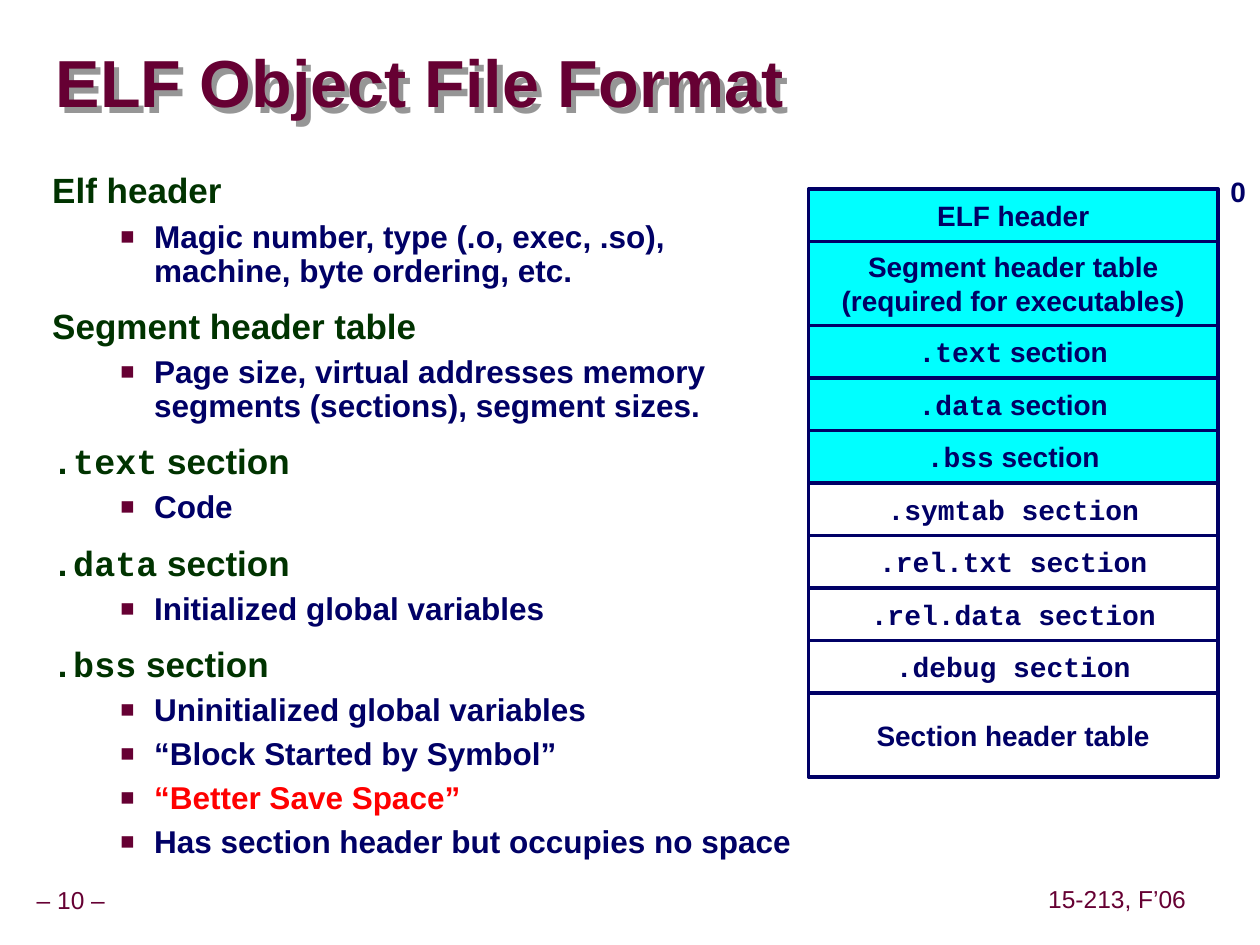
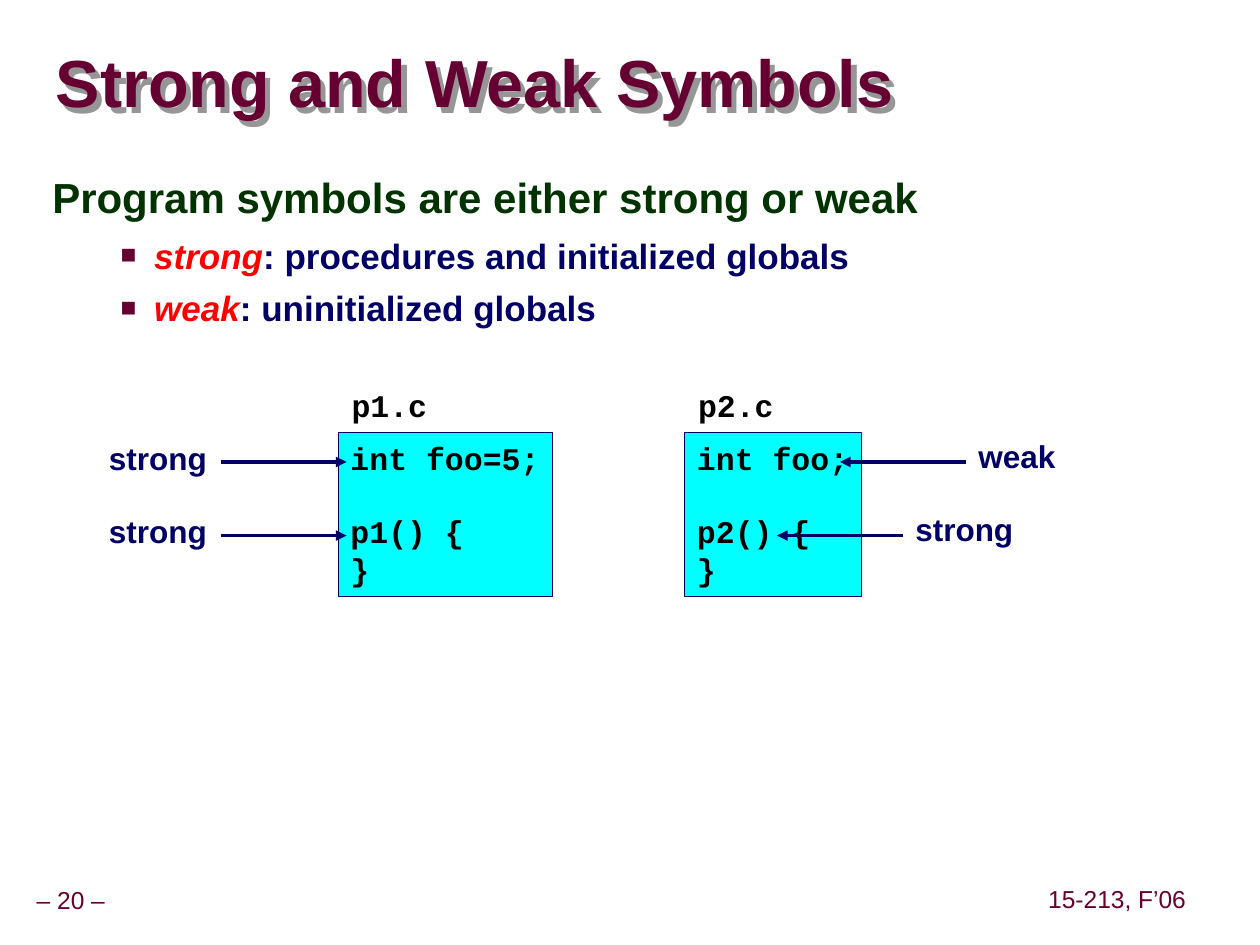
"""Build two lecture slides on ELF object files and linker symbols."""
from dataclasses import dataclass

from lxml import etree
from pptx import Presentation
from pptx.dml.color import RGBColor
from pptx.enum.shapes import MSO_CONNECTOR, MSO_SHAPE
from pptx.enum.text import MSO_ANCHOR, PP_ALIGN
from pptx.oxml.ns import qn
from pptx.util import Pt

LEFT, CENTER = PP_ALIGN.LEFT, PP_ALIGN.CENTER
TOP, MIDDLE = MSO_ANCHOR.TOP, MSO_ANCHOR.MIDDLE
RECT, STRAIGHT = MSO_SHAPE.RECTANGLE, MSO_CONNECTOR.STRAIGHT
PX_PER_INCH = 120
SCALE = 914400 // PX_PER_INCH


@dataclass(frozen=True)
class Theme:
    """Colours, fonts and type sizes shared by the slides."""
    maroon: str = "660033"
    green: str = "003300"
    navy: str = "000066"
    red: str = "FF0000"
    cyan: str = "00FFFF"
    white: str = "FFFFFF"
    black: str = "000000"
    shadow: str = "969696"
    sans: str = "Arial"
    mono: str = "Courier New"
    title: int = 38
    label: int = 18
    cell: int = 16
    footer: int = 14


@dataclass(frozen=True)
class Outline:
    """Type size, line spacing and space before of the two body levels."""
    sizes: tuple
    spacing: tuple
    before: tuple


THEME = Theme()
DENSE = Outline((20, 18), (0.85, 0.9), (12.5, 5.6))
ROOMY = Outline((24, 20), (0.95, 1.0), (15, 6.2))


def mono(text):
    """Return a run set in the monospaced font."""
    return text, {"font": THEME.mono}


def red(text, italic=False):
    """Return a highlighted run."""
    return text, {"color": THEME.red, "italic": italic}


def px(value):
    """Turn px into EMU."""
    return value * SCALE


class Deck:
    """Hold the theme, the presentation and the current slide."""

    def __init__(self, theme):
        self.t = theme
        self.prs = Presentation()
        self.prs.slide_width, self.prs.slide_height = px(1200), px(900)
        self.s = None

    def slide(self, title, number):
        """Start a slide with its title and footers."""
        self.s = self.prs.slides.add_slide(self.prs.slide_layouts[6])
        for text, box in ((f"– {number} –", (-11, 840, 157, 37)),
                          ("15-213, F’06", (992, 839, 144, 37))):
            sp = self.text([text], box, self.t.footer, self.t.maroon, bold=False,
                           align=CENTER, anchor=MIDDLE, inset=(6, 6))
            sp.text_frame.paragraphs[0].line_spacing = 0.9
        sp = self.text([title], (53, 32, 1144, 102), self.t.title, self.t.maroon,
                       anchor=MIDDLE, inset=(0, 0), wrap=True)
        sp.text_frame.paragraphs[0].line_spacing = 0.87
        self.shadow(sp)

    def shadow(self, sp):
        """Give the text of an unfilled box a hard grey shadow."""
        effects = etree.SubElement(sp._element.spPr, qn("a:effectLst"))
        outer = etree.SubElement(effects, qn("a:outerShdw"), dist=str(px(7)),
                                 dir="2700000", algn="ctr", rotWithShape="0")
        etree.SubElement(outer, qn("a:srgbClr"), val=self.t.shadow)

    def set_runs(self, p, content, size, color, font=None, bold=True):
        """Fill a paragraph with a string, a run or a list of runs."""
        pieces = content if isinstance(content, list) else [content]
        pieces = [(c, {}) if isinstance(c, str) else c for c in pieces]
        p.text = pieces[0][0]
        for text, _ in pieces[1:]:
            p.add_run().text = text
        for r, (_, style) in zip(p.runs, pieces):
            r.font.size, r.font.bold = Pt(size), bold
            r.font.italic = style.get("italic", False)
            r.font.name = style.get("font", font or self.t.sans)
            r.font.color.rgb = RGBColor.from_string(style.get("color", color))

    def fill_text(self, sp, lines, size, color, font=None, bold=True, align=LEFT,
                  anchor=TOP, inset=(12, 6), wrap=False):
        """Set the text of a shape, one paragraph a line."""
        tf = sp.text_frame
        tf.word_wrap, tf.vertical_anchor = wrap, anchor
        tf.margin_left = tf.margin_right = px(inset[0])
        tf.margin_top = tf.margin_bottom = px(inset[1])
        for i, line in enumerate(lines):
            p = tf.add_paragraph() if i else tf.paragraphs[0]
            p.alignment = align
            self.set_runs(p, line, size, color, font, bold)
        return sp

    def text(self, lines, box, size, color, **options):
        """Add a text box."""
        sp = self.s.shapes.add_textbox(*map(px, box))
        return self.fill_text(sp, lines, size, color, **options)

    def box(self, lines, box, fill, line_width, size, color, **options):
        """Add an outlined rectangle with text."""
        sp = self.s.shapes.add_shape(RECT, *map(px, box))
        sp.shadow.inherit = False
        sp.fill.solid()
        sp.fill.fore_color.rgb = RGBColor.from_string(fill)
        sp.line.color.rgb = RGBColor.from_string(self.t.navy)
        sp.line.width = Pt(line_width)
        return self.fill_text(sp, lines, size, color, **options)

    def body(self, items, width, outline):
        """Add the outline text: (level, content) pairs."""
        colors = (self.t.green, self.t.navy)
        sp = self.text([c for _, c in items], (38, 161, width, 685),
                       outline.sizes[0], self.t.green, wrap=True)
        for p, (level, content) in zip(sp.text_frame.paragraphs, items):
            self.set_runs(p, content, outline.sizes[level], colors[level])
            p.line_spacing = outline.spacing[level]
            p.space_before = Pt(outline.before[level])
            if level:
                self.bullet(p)

    def bullet(self, p):
        """Give a paragraph a small square bullet and a hanging indent."""
        pPr = p._p.get_or_add_pPr()
        pPr.set("marL", str(px(97)))
        pPr.set("indent", str(px(-32)))
        color = etree.SubElement(pPr, qn("a:buClr"))
        etree.SubElement(color, qn("a:srgbClr"), val=self.t.maroon)
        etree.SubElement(pPr, qn("a:buSzPct"), val="75000")
        etree.SubElement(pPr, qn("a:buFont"), typeface=self.t.sans)
        etree.SubElement(pPr, qn("a:buChar"), char="■")

    def arrow(self, x1, x2, y):
        """Add a horizontal arrow from x1 to x2."""
        cn = self.s.shapes.add_connector(STRAIGHT, px(x1), px(y), px(x2), px(y))
        cn.line.color.rgb = RGBColor.from_string(self.t.navy)
        cn.line.width = Pt(2)
        etree.SubElement(cn.line._get_or_add_ln(), qn("a:tailEnd"), type="triangle")
        etree.SubElement(cn._element.spPr, qn("a:effectLst"))


def elf_format(deck):
    """Draw the ELF layout slide."""
    t = deck.t
    deck.slide("ELF Object File Format", 10)
    deck.body([
        (0, "Elf header"),
        (1, "Magic number, type (.o, exec, .so), machine, byte ordering, etc."),
        (0, "Segment header table"),
        (1, "Page size, virtual addresses memory segments (sections), segment sizes."),
        (0, [mono(".text"), " section"]),
        (1, "Code"),
        (0, [mono(".data"), " section"]),
        (1, "Initialized global variables"),
        (0, [mono(".bss"), " section"]),
        (1, "Uninitialized global variables"),
        (1, "“Block Started by Symbol”"),
        (1, red("“Better Save Space”")),
        (1, "Has section header but occupies no space"),
    ], 732, DENSE)
    loaded = [(["ELF header"], 50),
              (["Segment header table", "(required for executables)"], 80)]
    loaded += [([[mono(name), " section"]], 50) for name in (".text", ".data", ".bss")]
    unloaded = [([mono(f"{name} section")], 50)
                for name in (".symtab", ".rel.txt", ".rel.data", ".debug")]
    unloaded.append((["Section header table"], 80))
    top = 180
    for fill, parts in ((t.cyan, loaded), (t.white, unloaded)):
        for lines, height in parts:
            deck.box(lines, (770, top, 390, height), fill, 2, t.cell, t.navy,
                     align=CENTER, anchor=MIDDLE)
            top += height
    deck.text(["0"], (1160, 160, 38, 44), t.cell, t.navy)


def symbols(deck):
    """Draw the strong and weak symbols slide."""
    t = deck.t
    deck.slide("Strong and Weak Symbols", 20)
    deck.body([
        (0, "Program symbols are either strong or weak"),
        (1, [red("strong", True), ": procedures and initialized globals"]),
        (1, [red("weak", True), ": uninitialized globals"]),
    ], 1091, ROOMY)
    for name, variable, left, width in (("p1", "int foo=5;", 322, 204),
                                        ("p2", "int foo;", 652, 168)):
        deck.text([f"{name}.c"], (left + 1, 362, 96, 48), t.label, t.black, font=t.mono)
        sp = deck.box([variable, f"{name}() {{", "}"], (left, 412, width, 156),
                      t.cyan, 0.25, t.label, t.black, font=t.mono)
        sp.text_frame.paragraphs[1].space_before = Pt(20.4)
    for word, left, top, width, start, end, y in (
            ("strong", 92, 412, 118, 210, 330, 440),
            ("strong", 92, 482, 118, 210, 330, 510),
            ("weak", 920, 410, 97, 920, 800, 440),
            ("strong", 860, 480, 118, 860, 740, 510)):
        deck.text([word], (left, top, width, 48), t.label, t.navy)
        deck.arrow(start, end, y)


def main():
    """Build and save the deck."""
    deck = Deck(THEME)
    elf_format(deck)
    symbols(deck)
    deck.prs.save("out.pptx")


if __name__ == "__main__":
    main()
